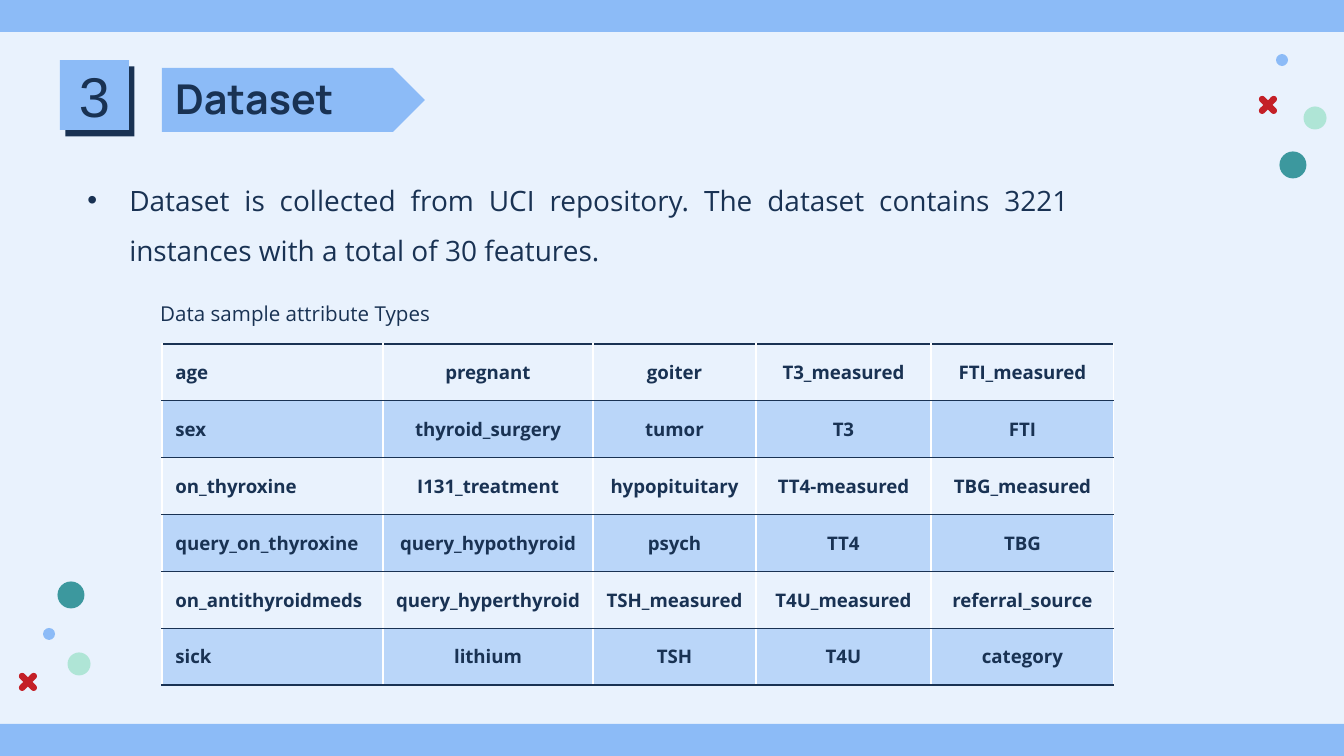
from dataclasses import dataclass
from math import cos, pi, sin, sqrt

from lxml import etree
from pptx import Presentation
from pptx.dml.color import RGBColor
from pptx.enum.shapes import MSO_SHAPE
from pptx.enum.text import MSO_ANCHOR, PP_ALIGN
from pptx.oxml.ns import qn
from pptx.util import Inches, Pt

RECT, PENTAGON, OVAL = MSO_SHAPE.RECTANGLE, MSO_SHAPE.PENTAGON, MSO_SHAPE.OVAL
TOP, MIDDLE = MSO_ANCHOR.TOP, MSO_ANCHOR.MIDDLE
LEFT, CENTER, JUSTIFY = PP_ALIGN.LEFT, PP_ALIGN.CENTER, PP_ALIGN.JUSTIFY
SCALE = 914400 / 134.4
WIDTH, HEIGHT = 1344, 756


@dataclass(frozen=True)
class Theme:
    """Colours, fonts and type sizes of the slide."""
    page: str = "E9F2FD"
    blue: str = "8CBBF7"
    navy: str = "193253"
    teal: str = "3C989E"
    mint: str = "AFE5D6"
    red: str = "C42027"
    white: str = "FFFFFF"
    heading: str = "Manrope"
    body: str = "Open Sans"
    plain: str = "Arial"
    number_size: int = 30
    title_size: int = 22
    body_size: int = 15
    caption_size: int = 11
    cell_size: int = 10


THEME = Theme()
ATTRIBUTES = [
    ["age", "pregnant", "goiter", "T3_measured", "FTI_measured"],
    ["sex", "thyroid_surgery", "tumor", "T3", "FTI"],
    ["on_thyroxine", "I131_treatment", "hypopituitary", "TT4-measured", "TBG_measured"],
    ["query_on_thyroxine", "query_hypothyroid", "psych", "TT4", "TBG"],
    ["on_antithyroidmeds", "query_hyperthyroid", "TSH_measured", "T4U_measured",
     "referral_source"],
    ["sick", "lithium", "TSH", "T4U", "category"],
]
COLUMN_WIDTHS = [221, 210, 163, 175, 183]


def px(length):
    """Turn px into EMU."""
    return round(length * SCALE)


def add_xml(parent, tag, **attributes):
    """Append a drawing element to its parent."""
    return etree.SubElement(parent, qn(tag), attributes)


def paint(shape, color):
    """Give a shape a flat fill without line or shadow."""
    shape.shadow.inherit = False
    shape.fill.solid()
    shape.fill.fore_color.rgb = RGBColor.from_string(color)
    shape.line.fill.background()
    return shape


def add_block(slide, preset, x, y, w, h, color):
    """Place a flat preset shape."""
    return paint(slide.shapes.add_shape(preset, px(x), px(y), px(w), px(h)), color)


def write(frame, text, font, size, bold=False, align=LEFT, anchor=TOP):
    """Write one run into a text frame and return its paragraph."""
    frame.word_wrap = True
    frame.vertical_anchor = anchor
    frame.margin_left = frame.margin_right = Inches(0.1)
    frame.margin_top = frame.margin_bottom = Inches(0.1)
    return write_run(frame.paragraphs[0], text, font, size, bold, align)


def write_run(paragraph, text, font, size, bold, align):
    """Add a styled navy run to a paragraph."""
    paragraph.alignment = align
    run = paragraph.add_run()
    run.text = text
    run.font.name, run.font.size, run.font.bold = font, Pt(size), bold
    run.font.color.rgb = RGBColor.from_string(THEME.navy)
    return paragraph


def add_text(slide, x, y, w, h, *args, **options):
    """Place a text box holding one run."""
    box = slide.shapes.add_textbox(px(x), px(y), px(w), px(h))
    return write(box.text_frame, *args, **options)


def add_cross(slide, x, y, size):
    """Draw a diagonal cross with rounded arms around its centre."""
    radius = size * 0.18
    reach = (size / 2 - radius) * sqrt(2)
    points = []
    for arm in range(4):
        angle = pi / 4 + arm * pi / 2
        for step in range(-4, 5):
            turn = angle + step * pi / 8
            points.append((x + reach * cos(angle) + radius * cos(turn),
                           y + reach * sin(angle) + radius * sin(turn)))
        notch = angle + pi / 4
        points.append((x + radius * sqrt(2) * cos(notch),
                       y + radius * sqrt(2) * sin(notch)))
    outline = [(px(a), px(b)) for a, b in points]
    builder = slide.shapes.build_freeform(*outline[0], scale=1.0)
    builder.add_line_segments(outline[1:], close=True)
    paint(builder.convert_to_shape(), THEME.red)


def add_confetti(slide, x, y, mint, blue, teal, cross):
    """Scatter three dots and a cross, given as centres within the box."""
    dots = ((mint, 23, THEME.mint), (blue, 12, THEME.blue), (teal, 27, THEME.teal))
    for (dx, dy), size, color in dots:
        add_block(slide, OVAL, x + dx - size / 2, y + dy - size / 2, size, size, color)
    add_cross(slide, x + cross[0], y + cross[1], 18)


def add_bands(slide, x, y, w, h):
    """Draw the bands along the top and bottom edges."""
    band = 32
    for top in (y, y + h - band):
        add_block(slide, RECT, x, top, w, band, THEME.blue)


def add_header(slide, x, y, w, h):
    """Draw the numbered tile and the title on its arrow."""
    add_block(slide, PENTAGON, x + 102, y + 8, 263, 64, THEME.blue)
    add_text(slide, x + 102, y, w - 102, h, "Dataset",
             THEME.heading, THEME.title_size, bold=True)
    tile = add_block(slide, RECT, x, y, 69, 70, THEME.blue)
    effects = tile._element.spPr.find(qn("a:effectLst"))
    shadow = add_xml(effects, "a:outerShdw", dist=str(Pt(4.5)), dir=str(50 * 60000),
                     algn="bl", rotWithShape="0")
    add_xml(shadow, "a:srgbClr", val=THEME.navy)
    write(tile.text_frame, "3", THEME.plain, THEME.number_size,
          align=CENTER, anchor=MIDDLE)


def add_summary(slide, x, y, w, h):
    """Write the bulleted description of the dataset."""
    paragraph = add_text(
        slide, x, y, w, h,
        "Dataset is collected from UCI repository. The dataset contains 3221 "
        "instances with a total of 30 features.",
        THEME.body, THEME.body_size, align=JUSTIFY)
    paragraph.line_spacing = 1.5
    properties = paragraph._p.get_or_add_pPr()
    properties.set("marL", str(px(42)))
    properties.set("indent", str(px(-42)))
    add_xml(add_xml(properties, "a:buClr"), "a:srgbClr", val=THEME.navy)
    add_xml(properties, "a:buFont", typeface=THEME.plain)
    add_xml(properties, "a:buChar", char="•")


def style_cell(cell, shaded):
    """Fill a cell and rule its four sides."""
    properties = cell._tc.get_or_add_tcPr()
    if shaded:
        cell.fill.solid()
        cell.fill.fore_color.rgb = RGBColor.from_string(THEME.blue)
        add_xml(properties.find(".//" + qn("a:srgbClr")), "a:alpha", val="50000")
    else:
        cell.fill.background()
    sides = (("L", THEME.white), ("R", THEME.white), ("T", THEME.navy), ("B", THEME.navy))
    for place, (side, color) in enumerate(sides):
        border = etree.Element(qn("a:ln" + side), w=str(Pt(0.75)))
        add_xml(add_xml(border, "a:solidFill"), "a:srgbClr", val=color)
        properties.insert(place, border)


def add_attributes(slide, x, y, w, h):
    """Write the caption and the table of attributes below it."""
    add_text(slide, x - 15, y, 398, 48, "Data sample attribute Types",
             THEME.body, THEME.caption_size)
    table = slide.shapes.add_table(len(ATTRIBUTES), len(COLUMN_WIDTHS), px(x), px(y + 55),
                                   px(w), px(h - 55)).table
    table.first_row = table.horz_banding = False
    for column, width in zip(table.columns, COLUMN_WIDTHS):
        column.width = px(width)
    for row, names in enumerate(ATTRIBUTES):
        for col, name in enumerate(names):
            cell = table.cell(row, col)
            cell.vertical_anchor = MIDDLE
            cell.margin_top = cell.margin_bottom = 0
            cell.margin_left = cell.margin_right = 0 if col else Inches(0.1)
            write_run(cell.text_frame.paragraphs[0], name, THEME.body,
                      THEME.cell_size, True, CENTER if col else LEFT)
            style_cell(cell, row % 2 == 1)


def main():
    """Build and save the dataset slide."""
    deck = Presentation()
    deck.slide_width, deck.slide_height = px(WIDTH), px(HEIGHT)
    slide = deck.slides.add_slide(deck.slide_layouts[6])
    slide.background.fill.solid()
    slide.background.fill.fore_color.rgb = RGBColor.from_string(THEME.page)
    add_confetti(slide, 1258, 54, (57, 64), (24, 6), (35, 111), (10, 51))
    add_confetti(slide, 19, 581, (60, 83), (30, 53), (52, 14), (9, 101))
    add_bands(slide, 0, 0, WIDTH, HEIGHT)
    add_header(slide, 60, 60, 1146, 72)
    add_summary(slide, 74, 153, 1009, 129)
    add_attributes(slide, 162, 289, sum(COLUMN_WIDTHS), 396)
    deck.save("out.pptx")


if __name__ == "__main__":
    main()
